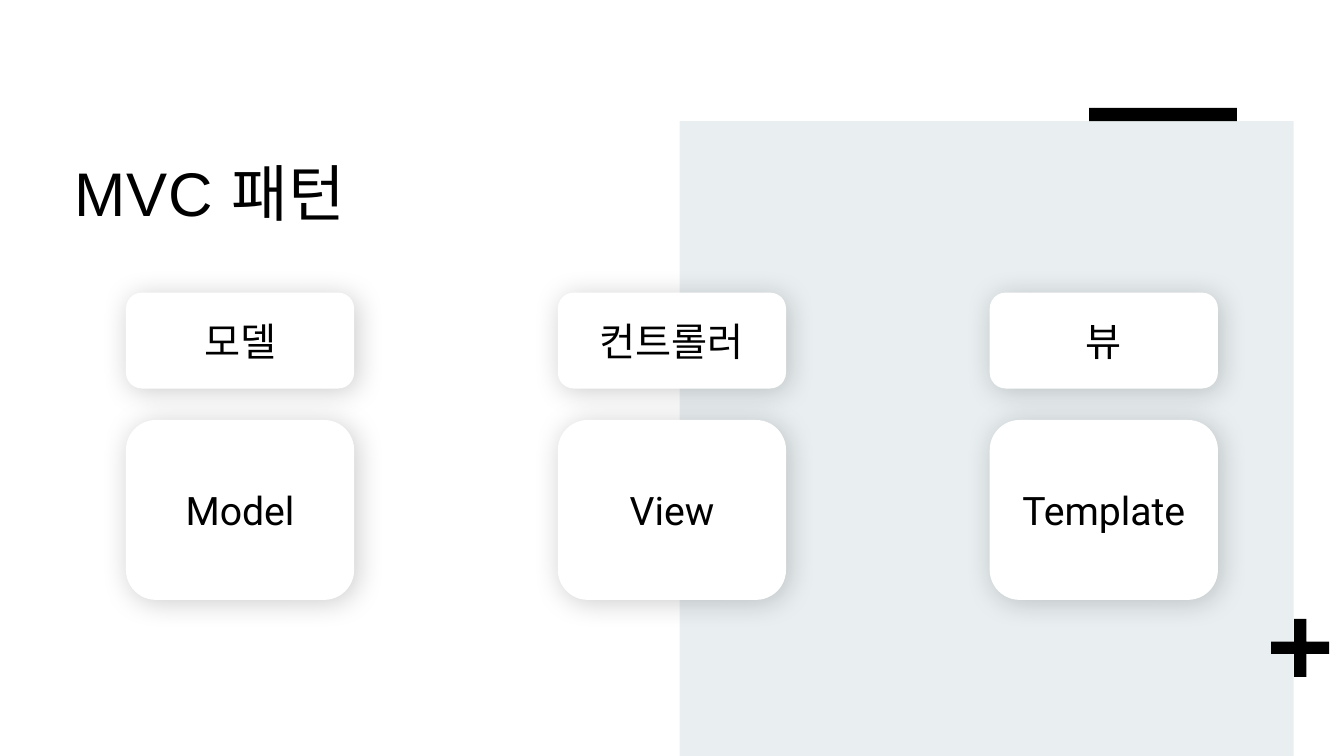
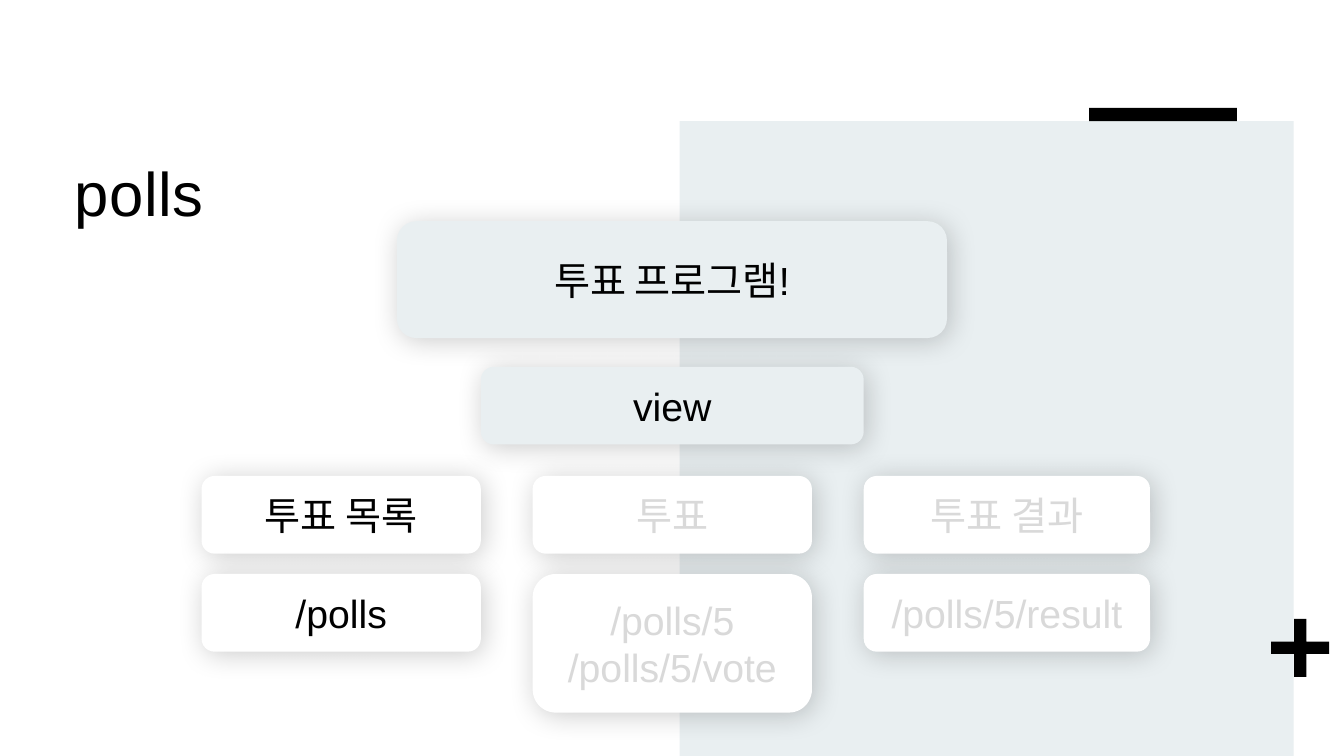
from lxml.etree import SubElement
from pptx import Presentation
from pptx.dml.color import RGBColor
from pptx.enum.shapes import MSO_SHAPE
from pptx.enum.text import MSO_ANCHOR, MSO_AUTO_SIZE, PP_ALIGN
from pptx.oxml.ns import qn
from pptx.util import Pt

BLACK = RGBColor(0x00, 0x00, 0x00)
WHITE = RGBColor(0xFF, 0xFF, 0xFF)
MIST = RGBColor(0xE9, 0xEF, 0xF1)
FADED = RGBColor(0xD9, 0xD9, 0xD9)

SLIDE_WIDTH, SLIDE_HEIGHT = 960, 540
TITLE_SIZE, CARD_SIZE = 44, 28
TITLE_ONLY = 5


def add_soft_shadow(shape):
    """Add a blurred black shadow, 20 % opaque, towards the lower right."""
    effects = shape._element.spPr.find(qn("a:effectLst"))
    shadow = SubElement(
        effects, qn("a:outerShdw"), blurRad=str(Pt(20)), dist=str(Pt(3)),
        dir="2700000", algn="tl", rotWithShape="0")
    color = SubElement(shadow, qn("a:srgbClr"), val=str(BLACK))
    SubElement(color, qn("a:alpha"), val="20000")


class Deck:
    """Holds the shared style and the slide being drawn."""

    def __init__(self):
        self.presentation = Presentation()
        self.presentation.slide_width = Pt(SLIDE_WIDTH)
        self.presentation.slide_height = Pt(SLIDE_HEIGHT)
        self.slide = None

    def add_slide(self, title):
        layout = self.presentation.slide_layouts[TITLE_ONLY]
        self.slide = self.presentation.slides.add_slide(layout)
        self.add_decoration()
        self.format_title(title)

    def add_decoration(self):
        self.add_shape(MSO_SHAPE.RECTANGLE, 485.5, 86.5, 438.5, 453.5, MIST)
        plus = self.add_shape(MSO_SHAPE.CROSS, 908, 442, 41.5, 41.5, BLACK)
        plus.adjustments[0] = 0.395
        self.add_shape(MSO_SHAPE.RECTANGLE, 778, 77, 105.5, 9.5, BLACK)

    def format_title(self, text):
        title = self.slide.shapes.title
        title.left, title.top = Pt(44.5), Pt(95)
        title.width, title.height = Pt(651), Pt(114)
        frame = title.text_frame
        frame.text = text
        frame.auto_size = MSO_AUTO_SIZE.NONE
        frame.vertical_anchor = MSO_ANCHOR.TOP
        frame.margin_left = frame.margin_top = frame.margin_right = Pt(8.6)
        frame.margin_bottom = Pt(7.2)
        paragraph = frame.paragraphs[0]
        paragraph.line_spacing = 1.14
        self.format_paragraph(paragraph, PP_ALIGN.LEFT, TITLE_SIZE, "Arial", BLACK)
        paragraph.runs[0]._r.get_or_add_rPr().set("spc", "50")

    def format_paragraph(self, paragraph, alignment, size, font_name, color):
        paragraph.alignment = alignment
        paragraph.font.size = Pt(size)
        paragraph.font.name = font_name
        paragraph.font.color.rgb = color

    def add_shape(self, kind, left, top, width, height, fill):
        shape = self.slide.shapes.add_shape(
            kind, Pt(left), Pt(top), Pt(width), Pt(height))
        shape.shadow.inherit = False
        shape.fill.solid()
        shape.fill.fore_color.rgb = fill
        shape.line.fill.background()
        return shape

    def add_card(self, text, left, top, width, height,
                 fill=WHITE, color=BLACK, font_name="Arial"):
        card = self.add_shape(
            MSO_SHAPE.ROUNDED_RECTANGLE, left, top, width, height, fill)
        add_soft_shadow(card)
        frame = card.text_frame
        frame.text = text
        frame.vertical_anchor = MSO_ANCHOR.MIDDLE
        for paragraph in frame.paragraphs:
            self.format_paragraph(
                paragraph, PP_ALIGN.CENTER, CARD_SIZE, font_name, color)


def add_pattern_slide(deck):
    deck.add_slide("MVC 패턴")
    pairs = [("모델", "Model"), ("컨트롤러", "View"), ("뷰", "Template")]
    for column, (role, django_name) in enumerate(pairs):
        left = 90 + column * 308.5
        deck.add_card(role, left, 209, 163, 68.5, font_name="Roboto")
        deck.add_card(django_name, left, 300, 163, 128.5, font_name="Roboto")


def add_polls_slide(deck):
    deck.add_slide("polls")
    deck.add_card("투표 프로그램!", 283.5, 158, 393, 83.5, fill=MIST)
    deck.add_card("view", 343.5, 262, 273.5, 55.5, fill=MIST)
    columns = [
        ("투표 목록", "/polls", 199.5, 55.5, BLACK),
        ("투표", "/polls/5\n/polls/5/vote", 199.5, 99, FADED),
        ("투표 결과", "/polls/5/result", 204.5, 55.5, FADED),
    ]
    for column, (page, address, width, height, color) in enumerate(columns):
        left = 144 + column * 236.5
        deck.add_card(page, left, 340, width, 55.5, color=color)
        deck.add_card(address, left, 410, width, height, color=color)


def main():
    deck = Deck()
    add_pattern_slide(deck)
    add_polls_slide(deck)
    deck.presentation.save("out.pptx")


if __name__ == "__main__":
    main()
